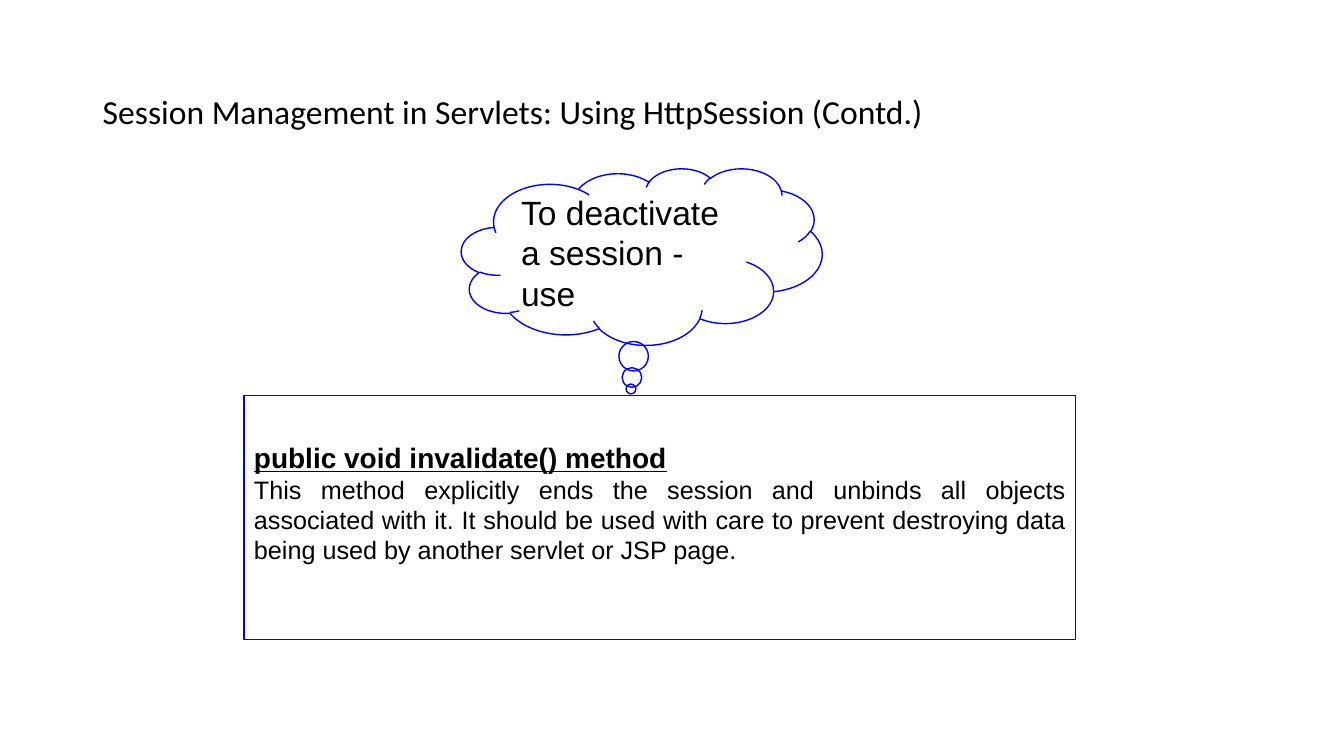
"""Build the HttpSession slide about deactivating a session."""
from dataclasses import dataclass

from lxml import etree
from pptx import Presentation
from pptx.dml.color import RGBColor
from pptx.enum.shapes import MSO_SHAPE
from pptx.enum.text import MSO_ANCHOR, PP_ALIGN
from pptx.oxml.ns import qn
from pptx.shapes.autoshape import Shape
from pptx.slide import Slide
from pptx.text.text import TextFrame
from pptx.util import Cm, Pt

RECTANGLE = MSO_SHAPE.RECTANGLE
CLOUD = MSO_SHAPE.CLOUD_CALLOUT
MIDDLE = MSO_ANCHOR.MIDDLE
LEFT = PP_ALIGN.LEFT
JUSTIFY = PP_ALIGN.JUSTIFY


@dataclass(frozen=True)
class Theme:
    ink: RGBColor = RGBColor(0, 0, 0)
    outline: RGBColor = RGBColor(0, 0, 255)
    paper: RGBColor = RGBColor(255, 255, 255)
    title_shadow: str = "C0C0C0"
    title_font: str = "Calibri"
    body_font: str = "Arial"
    title_size: int = 24
    callout_size: int = 24
    method_size: int = 20
    description_size: int = 18


@dataclass(frozen=True)
class Area:
    left: float
    top: float
    width: float
    height: float

    def lengths(self) -> tuple[Cm, Cm, Cm, Cm]:
        return Cm(self.left), Cm(self.top), Cm(self.width), Cm(self.height)


@dataclass(frozen=True)
class Panel:
    area: Area
    outline_shape: MSO_SHAPE
    fill: RGBColor | None = None
    adjustments: tuple[float, ...] = ()
    bottom_inset: float = 0.13


THEME = Theme()
TITLE_AREA = Area(2.34, 1.02, 29.21, 3.68)
METHOD_PANEL = Panel(Area(6.15, 9.96, 20.96, 6.15), RECTANGLE, THEME.paper, bottom_inset=0.86)
PURPOSE_CLOUD = Panel(Area(11.63, 4.24, 9.09, 4.45), CLOUD, adjustments=(-0.03, 0.75))


def write(frame: TextFrame, text: str, *, size: int, font: str = THEME.body_font,
          align: PP_ALIGN = LEFT, bold: bool = False, underline: bool = False,
          line_spacing: float = 1.0, shadow: str | None = None) -> None:
    """Add a formatted paragraph to the frame, filling its empty first one."""
    frame.word_wrap = True
    frame.vertical_anchor = MIDDLE
    paragraph = frame.add_paragraph() if frame.text else frame.paragraphs[0]
    paragraph.alignment = align
    paragraph.line_spacing = line_spacing
    run = paragraph.add_run()
    run.text = text
    run.font.size = Pt(size)
    run.font.bold = bold
    run.font.underline = underline
    run.font.color.rgb = THEME.ink
    if shadow:
        effects = etree.SubElement(run.font._element, qn("a:effectLst"))
        cast = etree.SubElement(effects, qn("a:outerShdw"), blurRad="38100",
                                dist="38100", dir="2700000", algn="tl")
        etree.SubElement(cast, qn("a:srgbClr"), val=shadow)
    run.font.name = font


def draw_panel(slide: Slide, panel: Panel) -> Shape:
    """Draw an outlined panel and return it."""
    shape = slide.shapes.add_shape(panel.outline_shape, *panel.area.lengths())
    shape.shadow.inherit = False
    shape.line.color.rgb = THEME.outline
    shape.line.width = Pt(1)
    if panel.fill is None:
        shape.fill.background()
    else:
        shape.fill.solid()
        shape.fill.fore_color.rgb = panel.fill
    for index, value in enumerate(panel.adjustments):
        shape.adjustments[index] = value
    shape.text_frame.margin_bottom = Cm(panel.bottom_inset)
    return shape


def main() -> None:
    """Build and save the slide."""
    deck = Presentation()
    deck.slide_width, deck.slide_height = Cm(33.87), Cm(19.05)
    slide = deck.slides.add_slide(deck.slide_layouts[6])

    method = draw_panel(slide, METHOD_PANEL).text_frame
    write(method, "public void invalidate() method", size=THEME.method_size,
          align=JUSTIFY, bold=True, underline=True)
    write(method, "This method explicitly ends the session and unbinds all objects "
          "associated with it. It should be used with care to prevent destroying data "
          "being used by another servlet or JSP page.",
          size=THEME.description_size, align=JUSTIFY)

    purpose = draw_panel(slide, PURPOSE_CLOUD).text_frame
    write(purpose, "To deactivate a session - use", size=THEME.callout_size)

    title = slide.shapes.add_textbox(*TITLE_AREA.lengths()).text_frame
    write(title, "Session Management in Servlets: Using HttpSession (Contd.)",
          size=THEME.title_size, font=THEME.title_font, line_spacing=0.9,
          shadow=THEME.title_shadow)

    deck.save("out.pptx")


if __name__ == "__main__":
    main()
